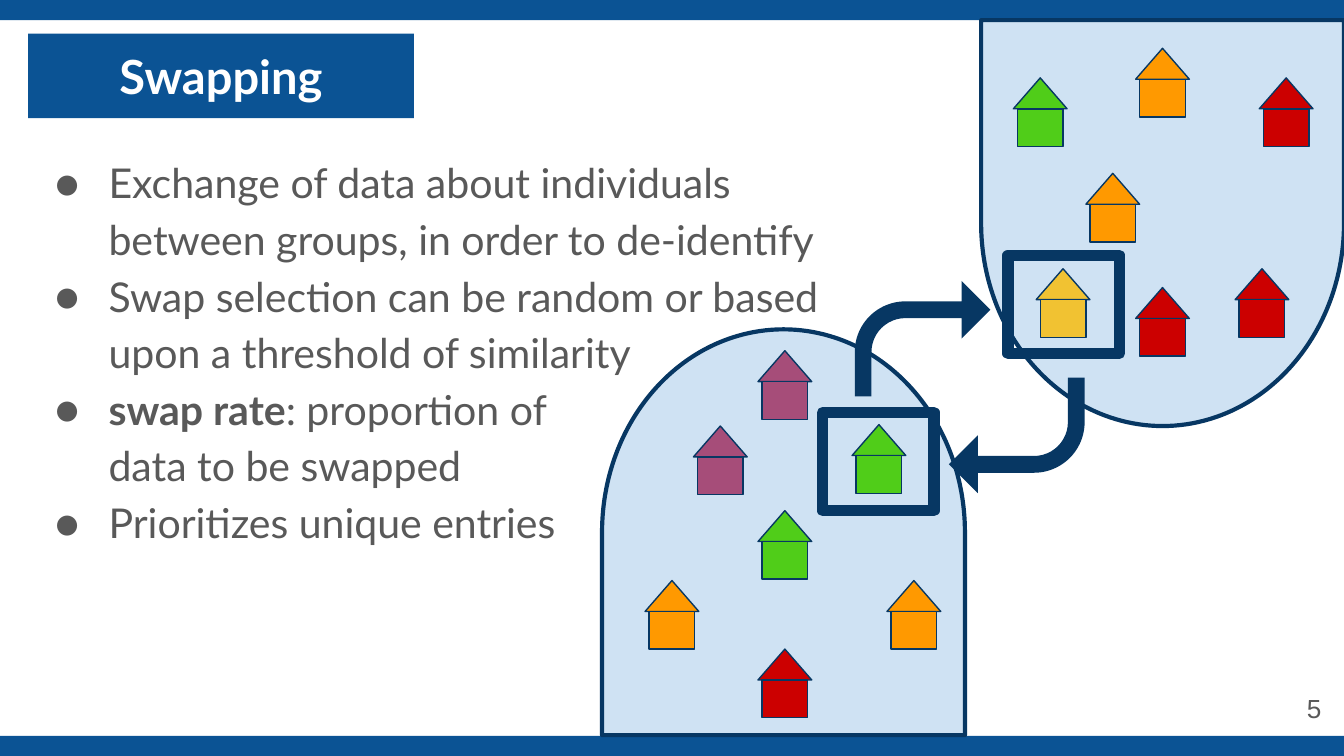
from dataclasses import dataclass

from lxml import etree
from pptx import Presentation
from pptx.dml.color import RGBColor
from pptx.enum import shapes, text
from pptx.oxml import ns
from pptx.util import Inches, Pt

SHAPE = shapes.MSO_SHAPE
ALIGN = text.PP_ALIGN
WIDTH = 10
HEIGHT = WIDTH * 9 / 16
BAR = 0.15


@dataclass(frozen=True)
class Theme:
    blue: str = "0B5394"
    navy: str = "073763"
    pale: str = "CFE2F3"
    white: str = "FFFFFF"
    grey: str = "595959"
    red: str = "CC0000"
    orange: str = "FF9900"
    green: str = "50CD19"
    yellow: str = "F1C232"
    plum: str = "A64D79"
    font: str = "Lato"
    number_font: str = "Arial"
    title_size: float = 25.2
    body_size: float = 22
    number_size: float = 14


T = Theme()


def add_shape(s, kind, box, fill=None, line_width=0, rotation=0):
    sp = s.shapes.add_shape(kind, *map(Inches, box))
    sp.shadow.inherit = False
    sp.rotation = rotation
    if fill:
        sp.fill.solid()
        sp.fill.fore_color.rgb = RGBColor.from_string(fill)
    else:
        sp.fill.background()
    if line_width:
        sp.line.color.rgb = RGBColor.from_string(T.navy)
        sp.line.width = Pt(line_width)
        etree.SubElement(sp.line._get_or_add_ln(), ns.qn("a:round"))
    else:
        sp.line.fill.background()
    return sp


def set_frame(sp, anchor=text.MSO_ANCHOR.TOP):
    tf = sp.text_frame
    tf.word_wrap = True
    tf.vertical_anchor = anchor
    tf.margin_left = tf.margin_right = Inches(0.1)
    tf.margin_top = tf.margin_bottom = Inches(0.1)
    return tf


def add_run(p, words, size, color, font=T.font, bold=False):
    r = p.add_run()
    r.text = words
    r.font.size = Pt(size)
    r.font.name = font
    r.font.bold = bold
    r.font.color.rgb = RGBColor.from_string(color)


def set_indent(p, bullet):
    pPr = p._p.get_or_add_pPr()
    pPr.set("marL", str(Inches(0.5)))
    pPr.set("indent", str(Inches(-0.4) if bullet else 0))
    if bullet:
        color = etree.SubElement(pPr, ns.qn("a:buClr"))
        etree.SubElement(color, ns.qn("a:srgbClr"), val=T.grey)
        etree.SubElement(pPr, ns.qn("a:buFont"), typeface=T.font)
        etree.SubElement(pPr, ns.qn("a:buChar"), char="●")
    else:
        etree.SubElement(pPr, ns.qn("a:buNone"))


def add_title(s, box, words):
    p = set_frame(add_shape(s, SHAPE.RECTANGLE, box, T.blue)).paragraphs[0]
    p.alignment = ALIGN.CENTER
    add_run(p, words, T.title_size, T.white, bold=True)


def add_body(s, box, items):
    tf = set_frame(s.shapes.add_textbox(*map(Inches, box)))
    for i, (bullet, runs) in enumerate(items):
        p = tf.add_paragraph() if i else tf.paragraphs[0]
        p.line_spacing = 1.15
        set_indent(p, bullet)
        for words, bold in runs:
            add_run(p, words, T.body_size, T.grey, bold=bold)


def add_number(s, box, number):
    tf = set_frame(s.shapes.add_textbox(*map(Inches, box)), text.MSO_ANCHOR.MIDDLE)
    p = tf.paragraphs[0]
    p.alignment = ALIGN.RIGHT
    add_run(p, number, T.number_size, T.grey, T.number_font)


def add_house(s, x, y, color):
    add_shape(s, SHAPE.ISOSCELES_TRIANGLE, (x, y, 0.4, 0.23), color, 0.75)
    add_shape(s, SHAPE.RECTANGLE, (x + 0.03, y + 0.23, 0.34, 0.28), color, 0.75)


def add_village(s, box, rotation, houses, chosen):
    x, y, w, h = box
    turned = (x + (w - h) / 2, y + (h - w) / 2, h, w)
    add_shape(s, SHAPE.FLOWCHART_DELAY, turned, T.pale, 2.25, rotation)
    for dx, dy, color in houses:
        add_house(s, x + dx, y + dy, color)
    dx, dy = chosen
    add_shape(s, SHAPE.RECTANGLE, (x + dx, y + dy, 0.83, 0.73), line_width=6)


def add_swap_arrow(s, box, rotation):
    sp = add_shape(s, SHAPE.BENT_ARROW, box, T.navy, rotation=rotation)
    for i, value in enumerate((0.145, 0.25, 0.25, 0.438)):
        sp.adjustments[i] = value


def main():
    prs = Presentation()
    prs.slide_width, prs.slide_height = Inches(WIDTH), Inches(HEIGHT)
    s = prs.slides.add_slide(prs.slide_layouts[6])

    add_title(s, (0.21, 0.25, 2.87, 0.63), "Swapping")
    for y in (0, HEIGHT - BAR):
        add_shape(s, SHAPE.RECTANGLE, (-0.1, y, 10.21, BAR), T.blue)

    add_village(s, (4.48, 2.45, 2.7, 3.02), 270, [
        (2.12, 1.87, T.orange), (1.16, 2.38, T.red), (0.32, 1.87, T.orange),
        (1.16, 1.35, T.green), (1.86, 0.71, T.green), (0.68, 0.72, T.plum),
        (1.16, 0.16, T.plum),
    ], (1.64, 0.62))
    add_village(s, (7.3, 0.15, 2.7, 3.02), 90, [
        (2.07, 0.43, T.red), (1.15, 0.21, T.orange), (0.24, 0.43, T.green),
        (0.78, 1.14, T.orange), (1.15, 1.99, T.red), (0.41, 1.85, T.yellow),
        (1.89, 1.85, T.red),
    ], (0.2, 1.75))
    add_swap_arrow(s, (6.36, 2.09, 1.01, 0.86), 0)
    add_swap_arrow(s, (7.06, 2.81, 1.01, 0.86), 180)

    add_number(s, (9.21, 5, 0.72, 0.53), "5")
    add_body(s, (0.21, 1.02, 6.23, 4.2), [
        (True, [("Exchange of data about individuals between groups, "
                 "in order to de-identify", False)]),
        (True, [("Swap selection can be random or based upon "
                 "a threshold of similarity", False)]),
        (True, [("swap rate", True), (": proportion of", False)]),
        (False, [("data to be swapped", False)]),
        (True, [("Prioritizes unique entries", False)]),
    ])
    prs.save("out.pptx")


if __name__ == "__main__":
    main()
